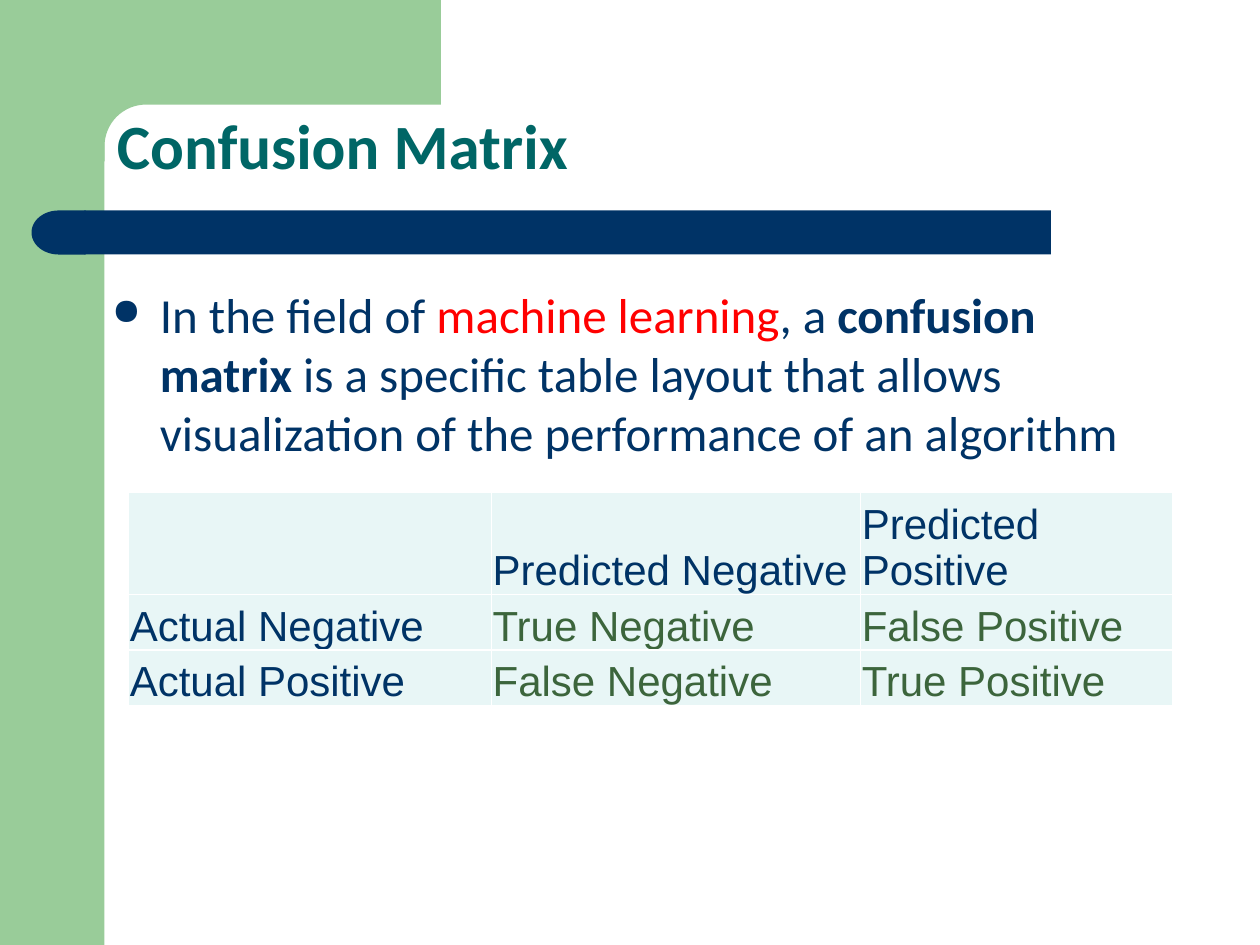
"""Build the Confusion Matrix slide."""
from math import cos, pi, sin

from lxml.etree import SubElement
from pptx import Presentation
from pptx.dml.color import RGBColor
from pptx.enum.shapes import MSO_SHAPE
from pptx.enum.text import MSO_ANCHOR
from pptx.oxml import parse_xml
from pptx.oxml.ns import nsdecls, qn
from pptx.util import Inches, Pt

GREEN, NAVY, TEAL, RED = "99CC99", "003366", "006666", "FF0000"
MINT, MOSS = "E8F6F6", "3C653C"


def paint(sp, color):
    sp.fill.solid()
    sp.fill.fore_color.rgb = RGBColor.from_string(color)
    sp.line.fill.background()
    sp.shadow.inherit = False


def add_run(p, text, size, font, color, bold=False):
    r = p.add_run()
    r.text = text
    r.font.size = Pt(size)
    r.font.name = font
    r.font.bold = bold
    r.font.color.rgb = RGBColor.from_string(color)


prs = Presentation()
prs.slide_width, prs.slide_height = Inches(10), Inches(7.5)
s = prs.slides.add_slide(prs.slide_layouts[6])

side = s.shapes.add_shape(MSO_SHAPE.RECTANGLE, 0, 0, Inches(0.83), Inches(7.5))
paint(side, GREEN)

radius, center, steps = 0.33, 1.16, 16
angles = [pi / 2 * (1 + i / steps) for i in range(steps + 1)]
arc = [(center + radius * cos(a), center - radius * sin(a)) for a in angles]
points = [(3.5, 0.83), *arc, (0.83, 1.28), (0.5, 1.28), (0.5, 0)]
fb = s.shapes.build_freeform(Inches(3.5), 0)
fb.add_line_segments([(Inches(x), Inches(y)) for x, y in points])
paint(fb.convert_to_shape(), GREEN)

bar = s.shapes.add_shape(MSO_SHAPE.RECTANGLE, Inches(0.67), Inches(1.67), Inches(7.67), Inches(0.35))
cap = s.shapes.add_shape(MSO_SHAPE.FLOWCHART_DELAY, Inches(0.25), Inches(1.67), Inches(0.43), Inches(0.35))
cap.rotation = 180
for sp in (bar, cap):
    paint(sp, NAVY)

title = s.shapes.add_textbox(Inches(0.83), Inches(0.83), Inches(8.67), Inches(0.67))
tf = title.text_frame
tf.word_wrap = True
tf.vertical_anchor = MSO_ANCHOR.BOTTOM
p = tf.paragraphs[0]
p.line_spacing = 0.9
add_run(p, "Confusion Matrix", 36, "Calibri", TEAL, True)

body = s.shapes.add_textbox(Inches(0.79), Inches(2.21), Inches(8.41), Inches(1.5))
tf = body.text_frame
tf.word_wrap = True
p = tf.paragraphs[0]
p.space_before = Pt(5.6)
pPr = p._p.get_or_add_pPr()
pPr.set("marL", str(Inches(0.38)))
pPr.set("indent", str(-Inches(0.38)))
SubElement(SubElement(pPr, qn("a:buClr")), qn("a:srgbClr")).set("val", NAVY)
SubElement(pPr, qn("a:buSzPct")).set("val", "75000")
SubElement(pPr, qn("a:buChar")).set("char", "●")
for text, color, bold in [
    ("In the field of ", NAVY, False),
    ("machine learning", RED, False),
    (", a ", NAVY, False),
    ("confusion matrix", NAVY, True),
    (" is a specific table layout that allows visualization of the performance of an algorithm", NAVY, False),
]:
    add_run(p, text, 28, "Calibri", color, bold)

rows = [
    ["", "Predicted Negative", "Predicted Positive"],
    ["Actual Negative", "True Negative", "False Positive"],
    ["Actual Positive", "False Negative", "True Positive"],
]
gf = s.shapes.add_table(3, 3, Inches(1.02), Inches(3.91), Inches(8.29), Inches(1.32))
table = gf.table
table.first_row = table.horz_banding = False
for col, width in zip(table.columns, (2.88, 2.93, 2.48)):
    col.width = Inches(width)
for i, row in enumerate(rows):
    table.rows[i].height = Inches(0.44)
    for j, text in enumerate(row):
        cell = table.cell(i, j)
        cell.vertical_anchor = MSO_ANCHOR.BOTTOM
        cell.margin_left = cell.margin_right = cell.margin_top = Inches(0.01)
        cell.margin_bottom = 0
        tcPr = cell._tc.get_or_add_tcPr()
        for edge in ("lnL", "lnR", "lnT", "lnB"):
            tcPr.append(parse_xml(
                f'<a:{edge} {nsdecls("a")} w="{Pt(1)}"><a:solidFill>'
                f'<a:srgbClr val="FFFFFF"/></a:solidFill></a:{edge}>'))
        cell.fill.solid()
        cell.fill.fore_color.rgb = RGBColor.from_string(MINT)
        if text:
            color = MOSS if i and j else NAVY
            add_run(cell.text_frame.paragraphs[0], text, 24, "Arial", color)

prs.save("out.pptx")
